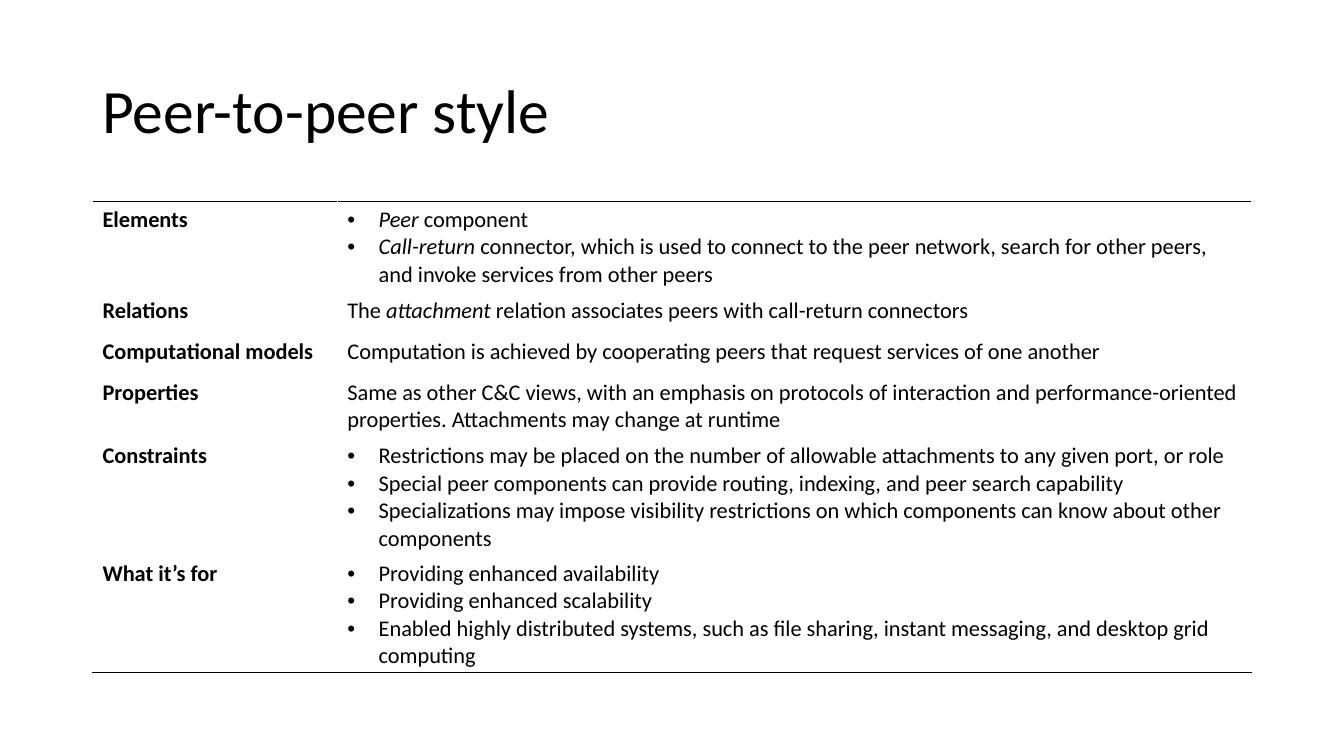
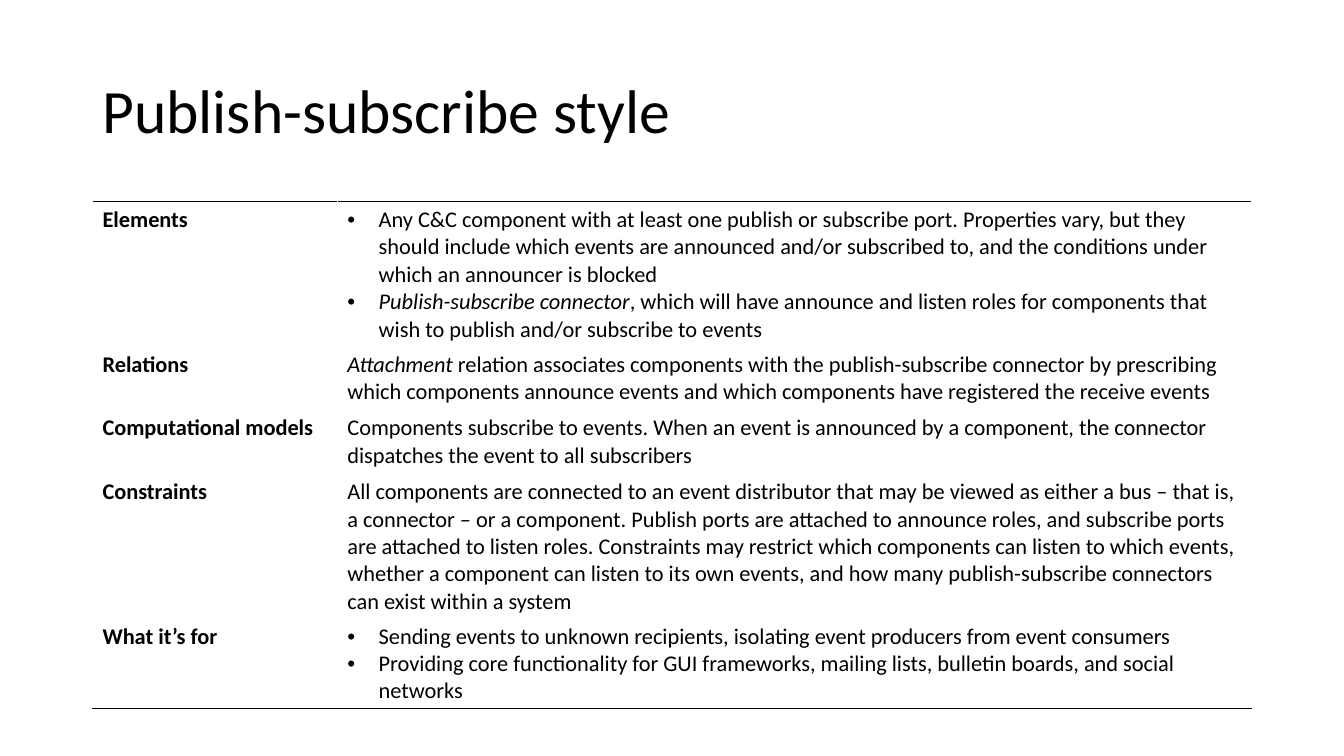
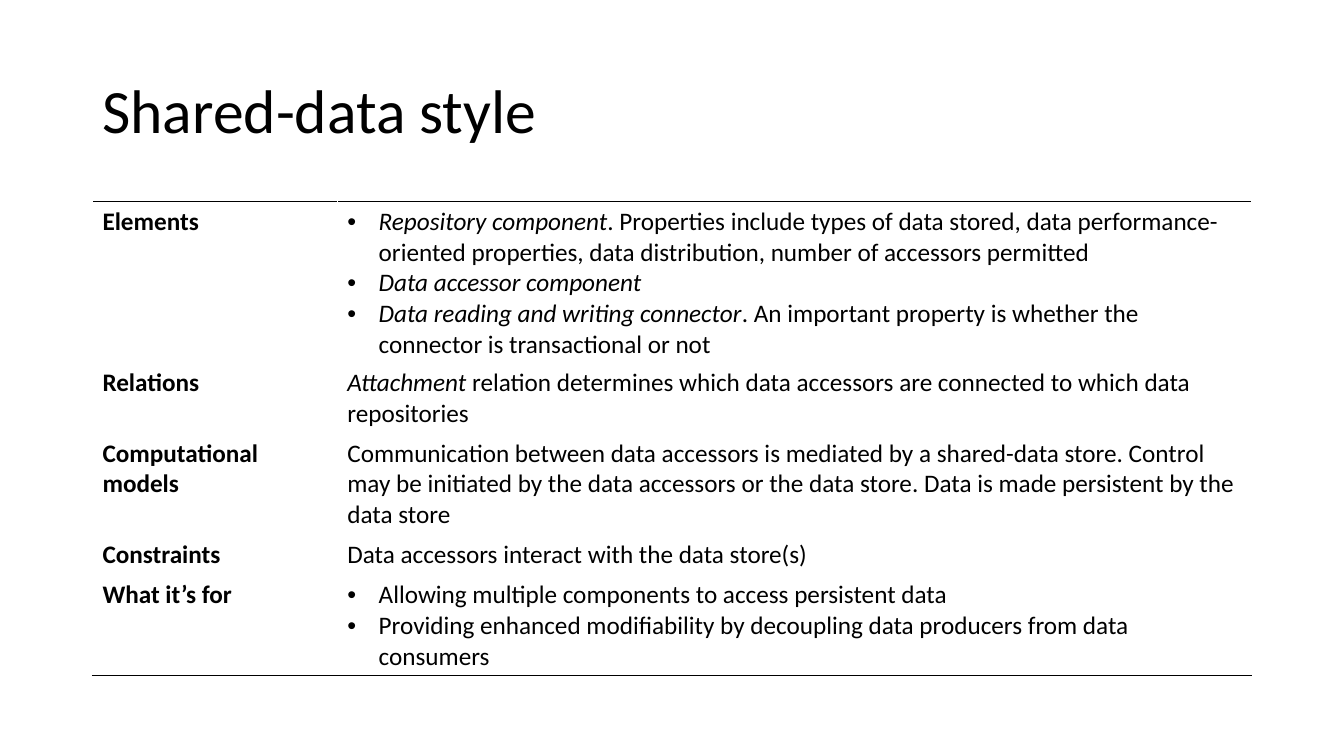
"""Build three slides that summarise architectural styles in ruled tables."""
from lxml.etree import SubElement
from pptx import Presentation
from pptx.dml.color import RGBColor
from pptx.enum.text import MSO_ANCHOR
from pptx.oxml.ns import qn
from pptx.util import Cm, Pt

BLACK = RGBColor(0x00, 0x00, 0x00)
WHITE = RGBColor(0xFF, 0xFF, 0xFF)
FONT = "Calibri"
LEFT, WIDTH = Cm(2.33), Cm(29.21)
TITLE_TOP, TITLE_HEIGHT = Cm(1.01), Cm(3.68)
TABLE_TOP, ROW_HEIGHT = Cm(5.07), Cm(1.03)
LABEL_WIDTH = Cm(6.17)
INDENT = Cm(0.79)

STYLES = [
    ("Peer-to-peer style", 16, [
        ("Elements", [
            "*Peer* component",
            "*Call-return* connector, which is used to connect to the peer network, "
            "search for other peers, and invoke services from other peers",
        ]),
        ("Relations",
         "The *attachment* relation associates peers with call-return connectors"),
        ("Computational models",
         "Computation is achieved by cooperating peers that request services of "
         "one another"),
        ("Properties",
         "Same as other C&C views, with an emphasis on protocols of interaction and "
         "performance-oriented properties. Attachments may change at runtime"),
        ("Constraints", [
            "Restrictions may be placed on the number of allowable attachments to "
            "any given port, or role",
            "Special peer components can provide routing, indexing, and peer search "
            "capability",
            "Specializations may impose visibility restrictions on which components "
            "can know about other components",
        ]),
        ("What it’s for", [
            "Providing enhanced availability",
            "Providing enhanced scalability",
            "Enabled highly distributed systems, such as file sharing, instant "
            "messaging, and desktop grid computing",
        ]),
    ]),
    ("Publish-subscribe style", 16, [
        ("Elements", [
            "Any C&C component with at least one publish or subscribe port. "
            "Properties vary, but they should include which events are announced "
            "and/or subscribed to, and the conditions under which an announcer is "
            "blocked",
            "*Publish-subscribe connector*, which will have announce and listen "
            "roles for components that wish to publish and/or subscribe to events",
        ]),
        ("Relations",
         "*Attachment* relation associates components with the publish-subscribe "
         "connector by prescribing which components announce events and which "
         "components have registered the receive events"),
        ("Computational models",
         "Components subscribe to events. When an event is announced by a "
         "component, the connector dispatches the event to all subscribers"),
        ("Constraints",
         "All components are connected to an event distributor that may be viewed "
         "as either a bus – that is, a connector – or a component. Publish ports "
         "are attached to announce roles, and subscribe ports are attached to "
         "listen roles. Constraints may restrict which components can listen to "
         "which events, whether a component can listen to its own events, and how "
         "many publish-subscribe connectors can exist within a system"),
        ("What it’s for", [
            "Sending events to unknown recipients, isolating event producers from "
            "event consumers",
            "Providing core functionality for GUI frameworks, mailing lists, "
            "bulletin boards, and social networks",
        ]),
    ]),
    ("Shared-data style", 18, [
        ("Elements", [
            "*Repository component*. Properties include types of data stored, data "
            "performance-oriented properties, data distribution, number of "
            "accessors permitted",
            "*Data accessor component*",
            "*Data reading and writing connector*. An important property is whether "
            "the connector is transactional or not",
        ]),
        ("Relations",
         "*Attachment* relation determines which data accessors are connected to "
         "which data repositories"),
        ("Computational models",
         "Communication between data accessors is mediated by a shared-data store. "
         "Control may be initiated by the data accessors or the data store. Data "
         "is made persistent by the data store"),
        ("Constraints", "Data accessors interact with the data store(s)"),
        ("What it’s for", [
            "Allowing multiple components to access persistent data",
            "Providing enhanced modifiability by decoupling data producers from "
            "data consumers",
        ]),
    ]),
]


def write(p, text, size, bold=False, bullet=False):
    """Write text into a paragraph, with parts between asterisks in italics."""
    if bullet:
        pPr = p._p.get_or_add_pPr()
        pPr.set("marL", str(INDENT))
        pPr.set("indent", str(-INDENT))
        SubElement(pPr, qn("a:buFont"), typeface="Arial")
        SubElement(pPr, qn("a:buChar"), char="•")
    for i, part in enumerate(text.split("*")):
        if part:
            r = p.add_run()
            r.text = part
            r.font.name = FONT
            r.font.size = Pt(size)
            r.font.bold = bold
            r.font.italic = i % 2 == 1
            r.font.color.rgb = BLACK


def add_title(s, text):
    """Add the slide title."""
    tf = s.shapes.add_textbox(LEFT, TITLE_TOP, WIDTH, TITLE_HEIGHT).text_frame
    tf.word_wrap = True
    tf.vertical_anchor = MSO_ANCHOR.MIDDLE
    p = tf.paragraphs[0]
    p.line_spacing = 0.9
    write(p, text, 44)


def rule_cell(cell, side):
    """Draw a thin black border on the top (T) or bottom (B) of a cell."""
    ln = SubElement(cell._tc.get_or_add_tcPr(), qn(f"a:ln{side}"), w=str(Pt(1)))
    fill = SubElement(ln, qn("a:solidFill"))
    SubElement(fill, qn("a:srgbClr"), val=str(BLACK))


def fill_cell(cell, content, size, bold=False):
    """Fill a cell with one plain paragraph or a list of bullets."""
    cell.fill.solid()
    cell.fill.fore_color.rgb = WHITE
    bullet = isinstance(content, list)
    tf = cell.text_frame
    for i, text in enumerate(content if bullet else [content]):
        p = tf.add_paragraph() if i else tf.paragraphs[0]
        write(p, text, size, bold=bold, bullet=bullet)


def add_style_table(s, rows, size):
    """Add a two-column table ruled above and below."""
    table = s.shapes.add_table(len(rows), 2, LEFT, TABLE_TOP, WIDTH,
                               ROW_HEIGHT * len(rows)).table
    table.first_row = table.horz_banding = False
    table.columns[0].width = LABEL_WIDTH
    table.columns[1].width = WIDTH - LABEL_WIDTH
    for col in range(2):
        rule_cell(table.cell(0, col), "T")
        rule_cell(table.cell(len(rows) - 1, col), "B")
    for i, (label, content) in enumerate(rows):
        fill_cell(table.cell(i, 0), label, size, bold=True)
        fill_cell(table.cell(i, 1), content, size)


def main():
    """Build and save the presentation."""
    prs = Presentation()
    prs.slide_width, prs.slide_height = Cm(33.87), Cm(19.05)
    for title, size, rows in STYLES:
        s = prs.slides.add_slide(prs.slide_layouts[6])
        add_title(s, title)
        add_style_table(s, rows, size)
    prs.save("out.pptx")


if __name__ == "__main__":
    main()
